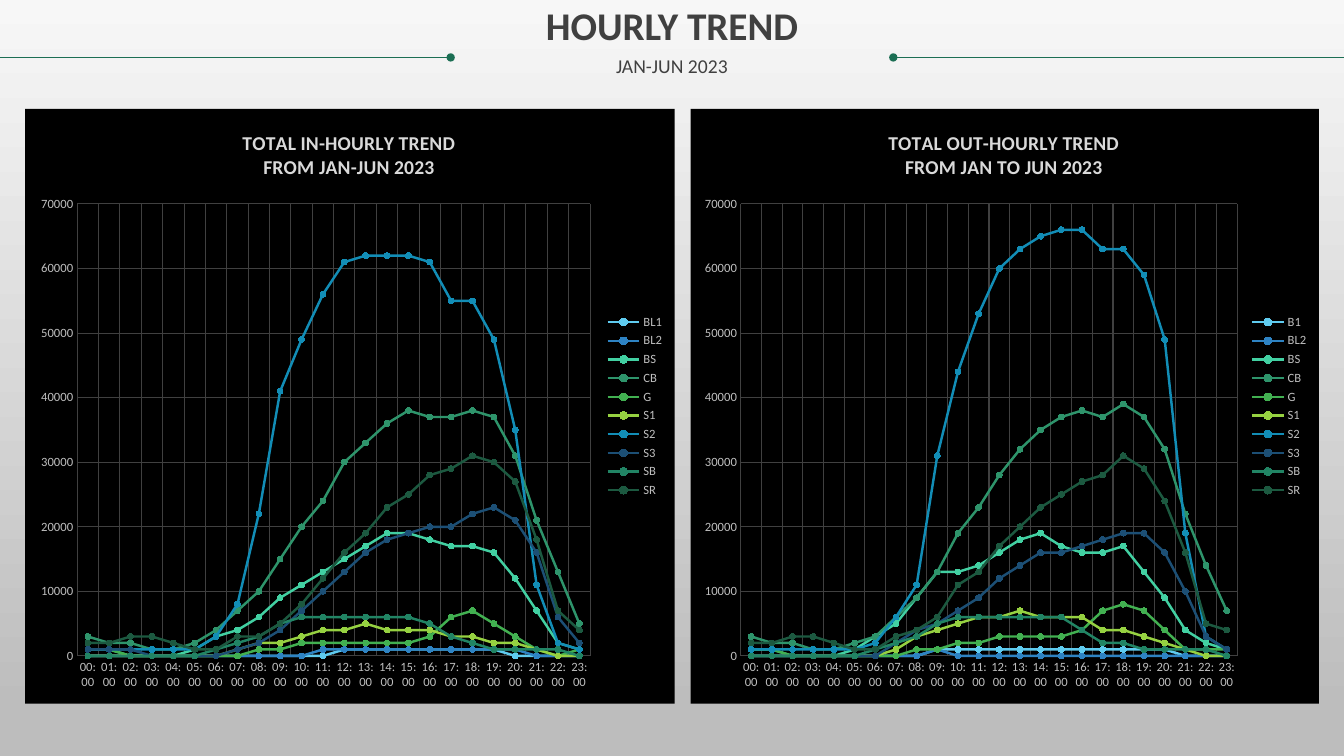
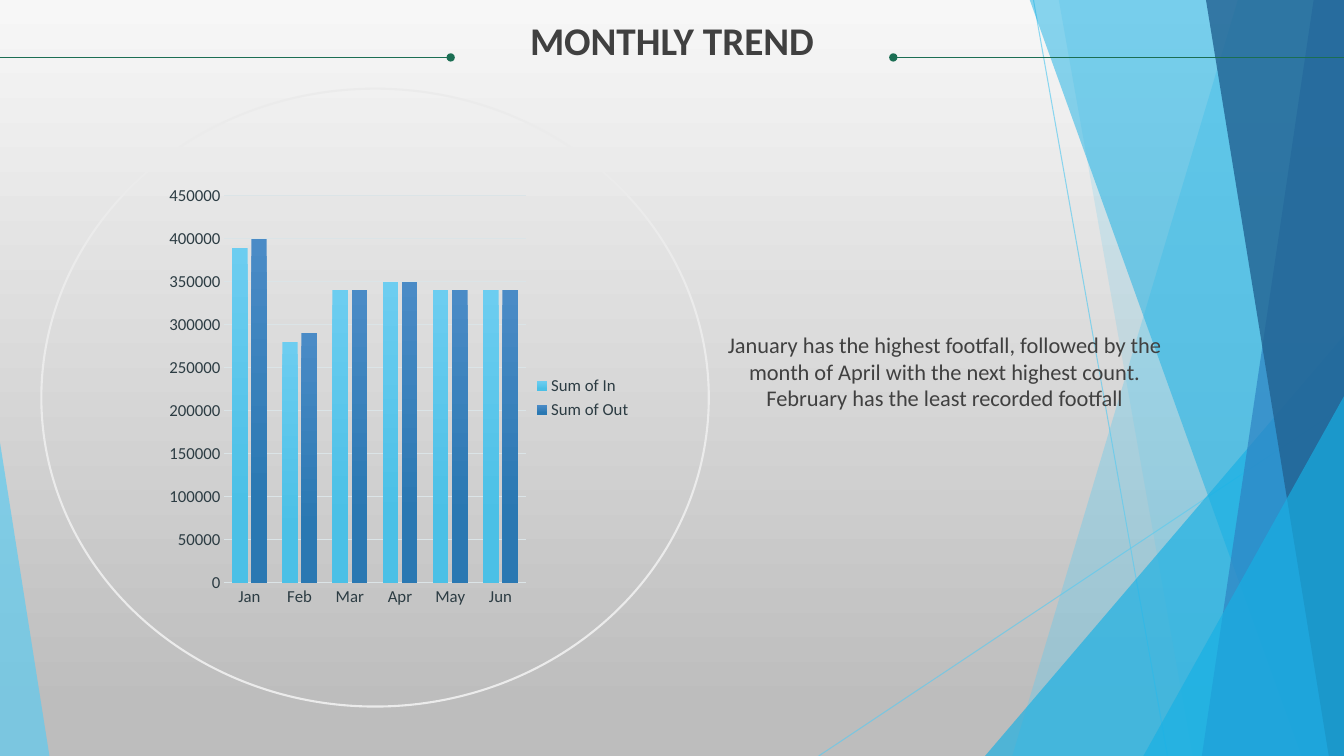
from lxml.etree import SubElement
from pptx import Presentation
from pptx.chart.data import CategoryChartData
from pptx.dml.color import RGBColor
from pptx.enum.chart import XL_CHART_TYPE, XL_LEGEND_POSITION, XL_MARKER_STYLE, XL_TICK_MARK
from pptx.enum.shapes import MSO_CONNECTOR, MSO_SHAPE
from pptx.enum.text import PP_ALIGN
from pptx.oxml import parse_xml
from pptx.oxml.ns import nsdecls, qn
from pptx.util import Inches, Pt

FONT = "Calibri"
INK = "404040"
GREEN = "1B6E53"
SKY = "5FCBEF"
CYAN = "17B0E4"
WIDE, HIGH = 13.33, 7.5


def hue(code):
    return RGBColor.from_string(code)


def link(slide, x1, y1, x2, y2, tint, width):
    """Draw a straight line without a shadow."""
    line = slide.shapes.add_connector(
        MSO_CONNECTOR.STRAIGHT, Inches(x1), Inches(y1), Inches(x2), Inches(y2))
    line.line.color.rgb = hue(tint)
    line.line.width = Pt(width)
    SubElement(line.element.spPr, qn("a:effectLst"))
    return line


deck = Presentation()
deck.slide_width, deck.slide_height = Inches(WIDE), Inches(HIGH)
hour, month = [deck.slides.add_slide(deck.slide_layouts[6]) for _ in range(2)]

# Gradients: fill, end position, first and last colour
fades = [(deck.slide_master.background.fill, 0.94, "F7F7F7", "BDBDBD")]

# Blue blades at the edges of the monthly slide
clear = [
    (link(month, 10.25, 0, 11.58, HIGH, SKY, 0.75), 70),
    (link(month, WIDE, 4.03, 8.12, HIGH, SKY, 0.75), 70),
]
# Pairs are top and bottom x of a blade; fours are left, top, width and tip
blades = [
    (SKY, 36, (12.28, 10.04)),
    (SKY, 20, (10.5, 11.83)),
    (CYAN, 66, (9.77, 3.33, 3.56, 1)),
    (CYAN, 50, (10.21, 12.91)),
    ("2E83C3", 70, (13.03, 11.92)),
    ("226292", 80, (11.96, 13.18)),
    (CYAN, 66, (11.34, 3.93, 1.99, 1)),
    (SKY, 70, (0, 4.39, 0.49, 0)),
]
for tint, alpha, form in blades:
    if len(form) == 2:
        top, base = form
        draft = month.shapes.build_freeform(Inches(top), Inches(-0.01))
        draft.add_line_segments(
            [(Inches(x), Inches(y)) for x, y in ((WIDE, -0.01), (WIDE, HIGH), (base, HIGH))])
        blade = draft.convert_to_shape()
    else:
        left, top, width, tip = form
        blade = month.shapes.add_shape(
            MSO_SHAPE.ISOSCELES_TRIANGLE, *map(Inches, (left, top, width, HIGH - top)))
        blade.adjustments[0] = tip
    blade.shadow.inherit = False
    blade.fill.solid()
    blade.fill.fore_color.rgb = hue(tint)
    blade.line.fill.background()
    clear.append((blade, alpha))

for item, alpha in clear:
    tone = item.element.spPr.find(".//" + qn("a:srgbClr"))
    SubElement(tone, qn("a:alpha"), val=str(alpha * 1000))

# Header rules with round inner ends
for slide in (hour, month):
    for start, stop, end in ((WIDE - 4.47, WIDE, "a:headEnd"), (0, 4.47, "a:tailEnd")):
        rule = link(slide, start, 0.57, stop, 0.57, GREEN, 1)
        SubElement(rule.element.spPr.find(qn("a:ln")), qn(end), type="oval")

# Text: slide, box, line spacing, rows of (words, size, bold, space before)
note = ("January has the highest footfall, followed by the month of April with the next "
        "highest count. February has the least recorded footfall")
texts = [
    (hour, (0.25, 0.07, 12.83, 0.73), 0.9,
     [("HOURLY TREND", 28, True, 0), ("JAN-JUN 2023", 14, False, 5)]),
    (month, (0.25, 0.21, 12.83, 0.73), 0.9, [("MONTHLY TREND", 28, True, 0)]),
    (month, (7.07, 3.29, 4.6, 1.31), Pt(19), [(note, 16, False, 0)]),
]
for slide, box, space, rows in texts:
    frame = slide.shapes.add_textbox(*map(Inches, box)).text_frame
    for key in ("left", "top", "right", "bottom"):
        setattr(frame, "margin_" + key, 0)
    frame.word_wrap = True
    for i, (words, size, bold, gap) in enumerate(rows):
        para = frame.add_paragraph() if i else frame.paragraphs[0]
        para.alignment = PP_ALIGN.CENTER
        para.line_spacing = space
        para.space_before = Pt(gap)
        run = para.add_run()
        run.text = words
        for key, value in {"name": FONT, "size": Pt(size), "bold": bold}.items():
            setattr(run.font, key, value)
        run.font.color.rgb = hue(INK)

# Counts in thousands, one row for each series
hours = [f"{n:02}:00" for n in range(24)]
tints = [SKY, "2E83C3", "42D0A2", "2E946B", "42B051",
         "96D141", "128DB6", "1C4F75", "218464", "1C5940"]
ins = {
    "BL1": [0] * 12 + [1] * 8 + [0] * 4,
    "BL2": [0] * 11 + [1] * 10 + [0] * 3,
    "BS": [1, 1, 0, 0, 0, 1, 3, 4, 6, 9, 11, 13, 15, 17, 19, 19, 18, 17, 17, 16, 12, 7, 2, 1],
    "CB": [3, 2, 2, 1, 1, 2, 4, 7, 10, 15, 20, 24, 30, 33, 36, 38, 37, 37, 38, 37, 31, 21, 13, 5],
    "G": [1, 1, 0, 0, 0, 0, 0, 0, 1, 1, 2, 2, 2, 2, 2, 2, 3, 6, 7, 5, 3, 1, 0, 1],
    "S1": [0, 0, 0, 0, 0, 0, 0, 1, 2, 2, 3, 4, 4, 5, 4, 4, 4, 3, 3, 2, 2, 1, 0, 0],
    "S2": [1, 1, 1, 1, 1, 1, 3, 8, 22, 41, 49, 56, 61, 62, 62, 62, 61, 55, 55, 49, 35, 11, 2, 1],
    "S3": [1, 1, 1, 0, 0, 0, 0, 1, 2, 4, 7, 10, 13, 16, 18, 19, 20, 20, 22, 23, 21, 16, 6, 2],
    "SB": [0, 0, 0, 0, 0, 0, 1, 2, 3, 5, 6, 6, 6, 6, 6, 6, 5, 3, 2, 1, 1, 1, 1, 0],
    "SR": [2, 2, 3, 3, 2, 1, 1, 3, 3, 5, 8, 12, 16, 19, 23, 25, 28, 29, 31, 30, 27, 18, 7, 4],
}
outs = {
    "B1": [0] * 9 + [1] * 12 + [0] * 3,
    "BL2": [0] * 9 + [1] + [0] * 14,
    "BS": [1, 1, 0, 0, 0, 1, 3, 5, 9, 13, 13, 14, 16, 18, 19, 17, 16, 16, 17, 13, 9, 4, 2, 1],
    "CB": [3, 2, 2, 1, 1, 2, 3, 6, 9, 13, 19, 23, 28, 32, 35, 37, 38, 37, 39, 37, 32, 22, 14, 7],
    "G": [1, 1, 0, 0, 0, 0, 0, 0, 1, 1, 2, 2, 3, 3, 3, 3, 4, 7, 8, 7, 4, 1, 1, 1],
    "S1": [0, 0, 0, 0, 0, 0, 0, 1, 3, 4, 5, 6, 6, 7, 6, 6, 6, 4, 4, 3, 2, 1, 0, 0],
    "S2": [1, 1, 1, 1, 1, 1, 2, 6, 11, 31, 44, 53, 60, 63, 65, 66, 66, 63, 63, 59, 49, 19, 3, 1],
    "S3": [0, 0, 0, 0, 0, 0, 0, 2, 4, 5, 7, 9, 12, 14, 16, 16, 17, 18, 19, 19, 16, 10, 3, 1],
    "SB": [0, 0, 0, 0, 0, 0, 1, 2, 3, 5, 6, 6, 6, 6, 6, 6, 4, 2, 2, 1, 1, 1, 1, 0],
    "SR": [2, 2, 3, 3, 2, 1, 1, 3, 4, 6, 11, 13, 17, 20, 23, 25, 27, 28, 31, 29, 24, 16, 5, 4],
}
sums = {
    "Sum of In": [390, 280, 340, 350, 340, 340],
    "Sum of Out": [400, 290, 340, 350, 340, 340],
}
months = ["Jan", "Feb", "Mar", "Apr", "May", "Jun"]

# Charts: slide, box, categories, counts, plot area, title, title place
charts = [
    (hour, (0.25, 1.08, 6.44, 5.9), hours, ins, (0.08, 0.16, 0.79, 0.76),
     "TOTAL IN-HOURLY TREND\nFROM JAN-JUN 2023", (0.33, 0.03)),
    (hour, (6.85, 1.08, 6.23, 5.9), hours, outs, (0.08, 0.16, 0.79, 0.76),
     "TOTAL OUT-HOURLY TREND\nFROM JAN TO JUN 2023", (0.31, 0.03)),
    (month, (1.55, 1.77, 4.82, 4.36), months, sums, (0.14, 0.04, 0.62, 0.88), None, None),
]
for slide, box, cats, counts, area, title, place in charts:
    trend = title is not None
    kind = XL_CHART_TYPE.LINE_MARKERS if trend else XL_CHART_TYPE.COLUMN_CLUSTERED
    size, ink, grid, peak, step = (
        (9, "BFBFBF", INK, 70000, 10000) if trend else (12, "2C3C43", "DBE4E7", 450000, 50000))
    data = CategoryChartData()
    data.categories = cats
    for name, row in counts.items():
        data.add_series(name, [1000 * n for n in row])
    chart = slide.shapes.add_chart(kind, *map(Inches, box), data).chart
    root = chart.element.find(qn("c:chart"))
    plot, across, up = chart.plots[0], chart.category_axis, chart.value_axis

    chart.has_legend = True
    chart.legend.position = XL_LEGEND_POSITION.RIGHT
    chart.legend.include_in_layout = False
    for font in (chart.font, chart.legend.font, across.tick_labels.font, up.tick_labels.font):
        for key, value in {"name": FONT, "size": Pt(size), "bold": False}.items():
            setattr(font, key, value)
        font.color.rgb = hue(ink)

    up.minimum_scale, up.maximum_scale, up.major_unit = 0, peak, step
    for axis in (across, up):
        axis.major_tick_mark = axis.minor_tick_mark = XL_TICK_MARK.NONE
        axis.format.line.fill.background()
        axis.has_major_gridlines = trend or axis is up
        if axis.has_major_gridlines:
            axis.major_gridlines.format.line.color.rgb = hue(grid)
            axis.major_gridlines.format.line.width = Pt(0.75)

    spots = [(root.find(qn("c:plotArea")), 0, zip("xywh", area))]
    chart.has_title = trend
    plot.vary_by_categories = False
    if trend:
        head = chart.chart_title.text_frame
        head.text = title
        for para in head.paragraphs:
            para.alignment = PP_ALIGN.CENTER
            for key, value in {"name": FONT, "size": Pt(14), "bold": True}.items():
                setattr(para.font, key, value)
            para.font.color.rgb = hue("D9D9D9")
        spots.append((root.find(qn("c:title")), 1, zip("xy", place)))
        root.addnext(parse_xml(
            f'<c:spPr {nsdecls("c", "a")}><a:solidFill><a:srgbClr val="000000"/></a:solidFill>'
            '<a:ln><a:noFill/></a:ln></c:spPr>'))
        body = root.find(f'.//{qn("c:catAx")}/{qn("c:txPr")}/{qn("a:bodyPr")}')
        body.set("rot", "-60000000")
        body.set("vert", "horz")
        for series, tint in zip(plot.series, tints):
            series.smooth = False
            series.format.line.color.rgb = hue(tint)
            series.format.line.width = Pt(1.75)
            mark = series.marker
            mark.style, mark.size = XL_MARKER_STYLE.CIRCLE, 4
            mark.format.fill.solid()
            mark.format.fill.fore_color.rgb = hue(tint)
            mark.format.line.color.rgb = hue(tint)
    else:
        plot.gap_width, plot.overlap = 100, -24
        across.format.line.color.rgb = hue(grid)
        across.format.line.width = Pt(0.75)
        for series, pair in zip(plot.series, (("6CCDF0", "4BC0E6"), ("4A8BC6", "2A78B2"))):
            fades.append((series.format.fill, 0.78, *pair))

    for node, index, sizes in spots:
        for old in node.findall(qn("c:layout")):
            node.remove(old)
        rows = [("layoutTarget", "inner")] if index == 0 else []
        rows += [("xMode", "edge"), ("yMode", "edge"), *sizes]
        inner = "".join(f'<c:{key} val="{value}"/>' for key, value in rows)
        node.insert(index, parse_xml(
            f'<c:layout {nsdecls("c")}><c:manualLayout>{inner}</c:manualLayout></c:layout>'))

for fill, end, first, last in fades:
    fill.gradient()
    fill.gradient_angle = 270
    for stop, spot, tint in zip(fill.gradient_stops, (0, end), (first, last)):
        stop.position = spot
        stop.color.rgb = hue(tint)

ring = month.shapes.add_shape(MSO_SHAPE.OVAL, *map(Inches, (0.41, 0.88, 6.62, 6.13)))
ring.shadow.inherit = False
ring.fill.background()
ring.line.color.rgb = hue("EBEBEB")
ring.line.width = Pt(1.5)

deck.save("out.pptx")
